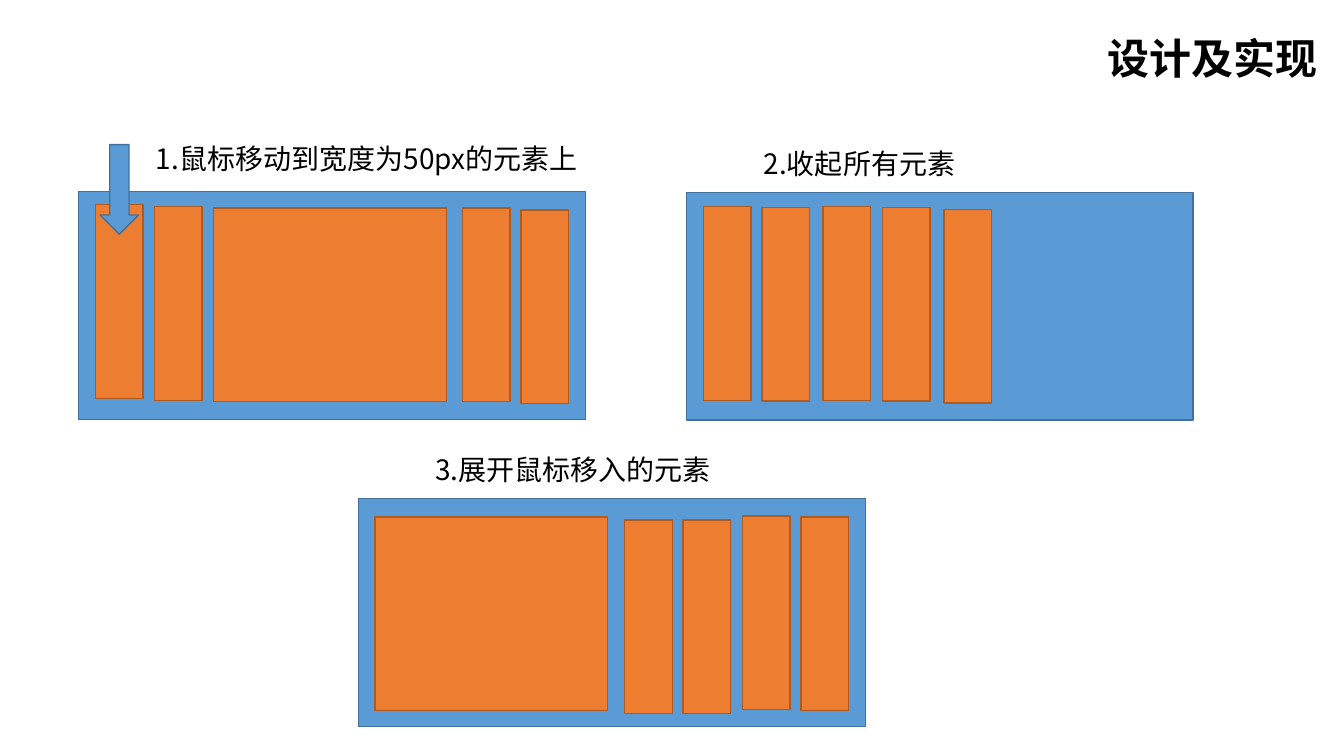
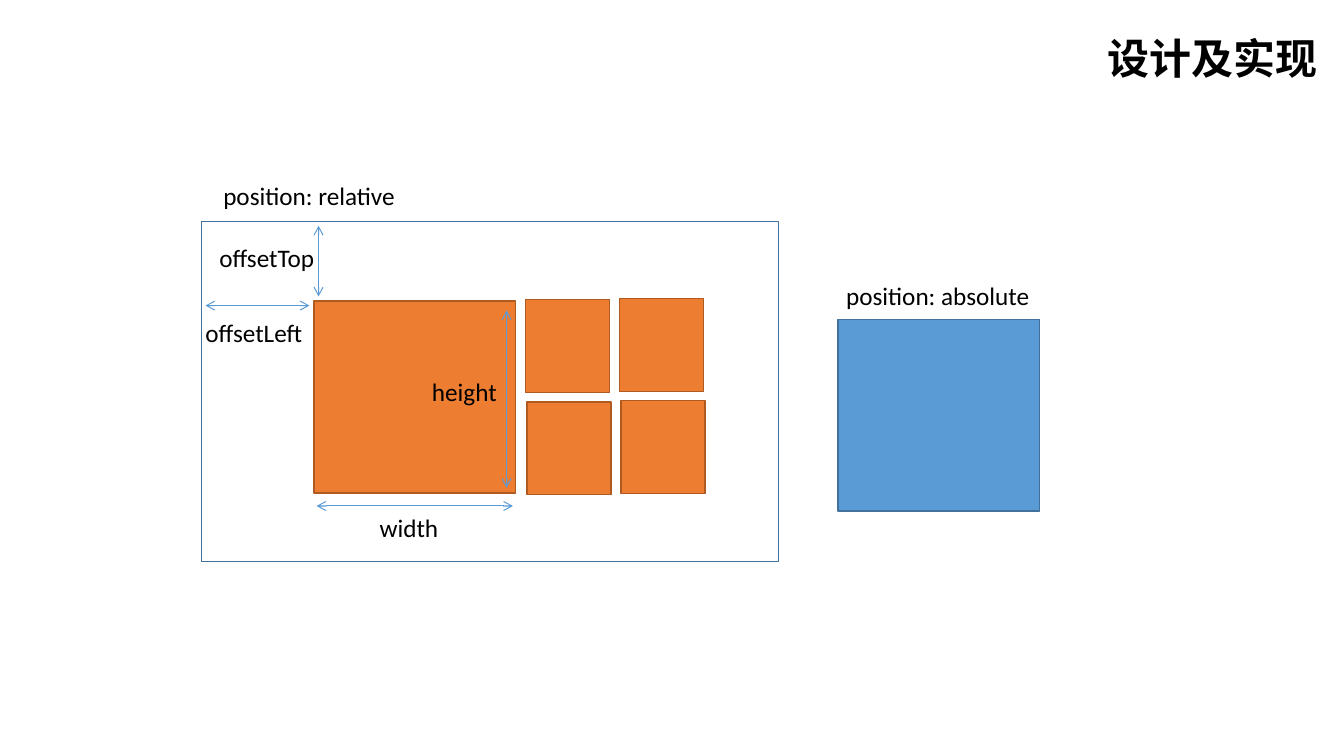
from lxml.etree import SubElement
from pptx import Presentation
from pptx.dml.color import RGBColor
from pptx.enum.shapes import MSO_CONNECTOR as Connector, MSO_SHAPE as Shape
from pptx.enum.text import MSO_ANCHOR as Anchor, MSO_AUTO_SIZE as AutoSize, PP_ALIGN as Align
from pptx.oxml.ns import qn
from pptx.util import Cm, Pt

COLORS = {
    "text": "000000",
    "blue": "5B9BD5",
    "blue_edge": "41719C",
    "orange": "ED7D31",
    "orange_edge": "AE5A21",
    "background": "FFFFFF",
}
CJK_FONT = "Noto Sans CJK SC"
TITLE = "设计及实现"
TITLE_BOX = (19.35, 0.69, 14.12, 1.52)

PANEL_SIZE = (12.78, 5.74)
NARROW, WIDE, TILE_HEIGHT = 1.2, 5.87, 4.88
STEPS = [
    ("1.鼠标移动到宽度为50px的元素上", (3.68, 3.43), (1.98, 4.83),
     [(0.43, 0.33, NARROW), (1.91, 0.38, NARROW), (3.4, 0.41, WIDE),
      (9.68, 0.41, NARROW), (11.15, 0.46, NARROW)]),
    ("2.收起所有元素", (19, 3.56), (17.3, 4.85),
     [(0.43, 0.36, NARROW), (1.91, 0.38, NARROW), (3.45, 0.36, NARROW),
      (4.95, 0.38, NARROW), (6.5, 0.43, NARROW)]),
    ("3.展开鼠标移入的元素", (10.72, 11.28), (9.04, 12.57),
     [(0.41, 0.46, WIDE), (6.71, 0.53, NARROW), (8.18, 0.53, NARROW),
      (9.68, 0.43, NARROW), (11.15, 0.46, NARROW)]),
]

MAIN_TILE_SIZE = (5.08, 4.83)
SMALL_TILE_SIZE = (2.11, 2.34)
PROPERTIES = [
    ("position: relative", (5.38, 4.42, 5.23)),
    ("offsetTop", (5.28, 5.99, 3.05)),
    ("offsetLeft", (4.93, 7.87, 5.23)),
    ("width", (9.32, 12.78, 3.07)),
    ("height", (10.64, 9.35, 3.05)),
    ("position: absolute", (21.08, 6.93, 5.23)),
]
MEASURES = [
    (8.03, 7.47, 8.03, 5.69),
    (7.8, 7.7, 5.18, 7.7),
    (7.98, 12.75, 12.93, 12.75),
    (12.77, 7.82, 12.77, 12.29),
]


def color(name):
    return RGBColor.from_string(COLORS[name])


def lengths(values):
    return [Cm(value) for value in values]


def write_text(frame, text, font="Calibri", size=18, bold=False, align=Align.LEFT):
    frame.word_wrap = True
    frame.auto_size = AutoSize.SHAPE_TO_FIT_TEXT
    frame.vertical_anchor = Anchor.TOP
    paragraph = frame.paragraphs[0]
    paragraph.alignment = align
    run = paragraph.add_run()
    run.text = text
    run.font.size = Pt(size)
    run.font.bold = bold
    run.font.color.rgb = color("text")
    run.font.name = font
    SubElement(run._r.get_or_add_rPr(), qn("a:ea"), typeface=CJK_FONT)


class Deck:
    def __init__(self):
        self.presentation = Presentation()
        self.presentation.slide_width = Cm(33.88)
        self.presentation.slide_height = Cm(19.05)
        self.slide = None

    def new_slide(self):
        layout = self.presentation.slide_layouts[5]
        self.slide = self.presentation.slides.add_slide(layout)
        background = self.slide.background.fill
        background.solid()
        background.fore_color.rgb = color("background")
        title = self.slide.shapes.title
        title.left, title.top, title.width, title.height = lengths(TITLE_BOX)
        write_text(title.text_frame, TITLE, font="Arial", size=30, bold=True,
                   align=Align.RIGHT)

    def block(self, *box, tone="blue", filled=True, kind=Shape.RECTANGLE, rotation=0):
        block = self.slide.shapes.add_shape(kind, *lengths(box))
        block.shadow.inherit = False
        block.rotation = rotation
        if filled:
            block.fill.solid()
            block.fill.fore_color.rgb = color(tone)
        else:
            block.fill.background()
        block.line.color.rgb = color(tone + "_edge")
        block.line.width = Pt(1)

    def label(self, text, *box, **style):
        label = self.slide.shapes.add_textbox(*lengths(box))
        write_text(label.text_frame, text, **style)

    def measure(self, *ends):
        arrow = self.slide.shapes.add_connector(Connector.STRAIGHT, *lengths(ends))
        arrow.line.color.rgb = color("blue")
        arrow.line.width = Pt(0.75)
        outline = arrow.line._get_or_add_ln()
        for end in ("a:headEnd", "a:tailEnd"):
            SubElement(outline, qn(end), type="arrow")
        SubElement(arrow._element.spPr, qn("a:effectLst"))


def add_steps(deck):
    deck.new_slide()
    for caption, caption_at, (left, top), tiles in STEPS:
        deck.block(left, top, *PANEL_SIZE)
        for across, down, width in tiles:
            deck.block(left + across, top + down, width, TILE_HEIGHT, tone="orange")
        deck.label(caption, *caption_at, 12.04, 1.12, font=CJK_FONT, size=20)
    deck.block(1.88, 4.29, 2.26, 0.97, kind=Shape.RIGHT_ARROW, rotation=90)


def add_positioning(deck):
    deck.new_slide()
    deck.block(7.92, 7.59, *MAIN_TILE_SIZE, tone="orange")
    for column in range(2):
        for row in range(2):
            left = 13.25 + 2.37 * column + 0.04 * row
            top = 7.55 + 2.58 * row - 0.03 * column
            deck.block(left, top, *SMALL_TILE_SIZE, tone="orange")
    deck.block(5.08, 5.59, 14.55, 8.56, filled=False)
    deck.block(21.13, 8.05, *MAIN_TILE_SIZE)
    for ends in MEASURES:
        deck.measure(*ends)
    for text, place in PROPERTIES:
        deck.label(text, *place, 1.02)


def main():
    deck = Deck()
    add_steps(deck)
    add_positioning(deck)
    deck.presentation.save("out.pptx")


if __name__ == "__main__":
    main()
